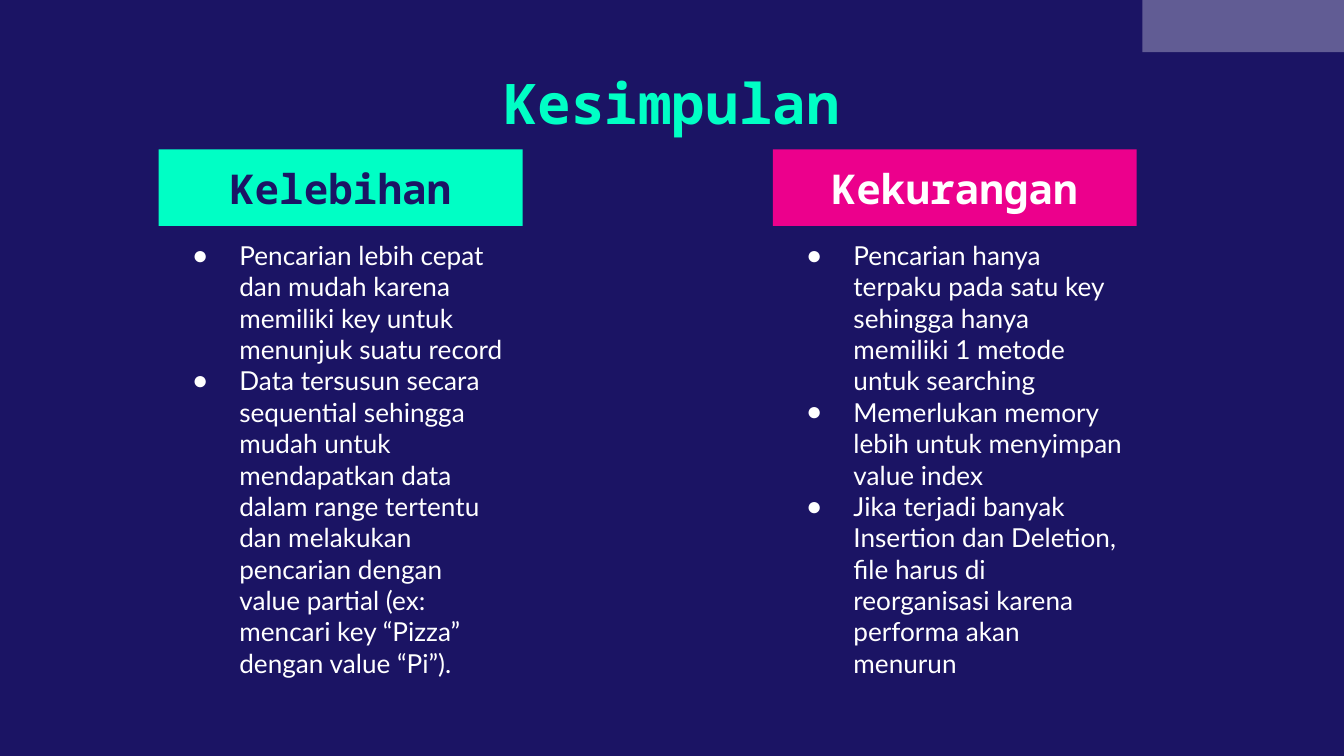
"""Build the conclusion slide comparing strengths and weaknesses."""
from dataclasses import dataclass

from lxml import etree
from pptx import Presentation
from pptx.dml.color import RGBColor
from pptx.enum.shapes import MSO_SHAPE
from pptx.enum.text import MSO_ANCHOR, MSO_AUTO_SIZE, PP_ALIGN
from pptx.oxml.ns import qn
from pptx.shapes.autoshape import Shape
from pptx.slide import Slide
from pptx.text.text import TextFrame
from pptx.util import Pt

NAVY = RGBColor(0x1B, 0x14, 0x64)
MINT = RGBColor(0x00, 0xFF, 0xC5)
PINK = RGBColor(0xEC, 0x00, 0x8C)
WHITE = RGBColor(0xFF, 0xFF, 0xFF)
RECT = MSO_SHAPE.RECTANGLE
BOTTOM, TOP = MSO_ANCHOR.BOTTOM, MSO_ANCHOR.TOP
CENTER, LEFT = PP_ALIGN.CENTER, PP_ALIGN.LEFT
NO_FIT = MSO_AUTO_SIZE.NONE

HEAD_FONT, BODY_FONT = "Noto Sans Mono", "Lato"
COMPARISON_LAYOUT = 4
SLIDE_W, SLIDE_H = 720, 405
COL_W, HEAD_TOP, HEAD_H = 195, 80, 41
BODY_TOP = HEAD_TOP + HEAD_H
INSET, INDENT, HANGING = 7.2, 36, 25.2


@dataclass
class Column:
    head_idx: int
    left: float
    heading: str
    fill: RGBColor
    color: RGBColor
    points: list[str]


COLUMNS = [
    Column(1, 85, "Kelebihan", MINT, NAVY, [
        "Pencarian lebih cepat dan mudah karena memiliki key untuk "
        "menunjuk suatu record",
        "Data tersusun secara sequential sehingga mudah untuk mendapatkan "
        "data dalam range tertentu dan melakukan pencarian dengan value "
        "partial (ex: mencari key “Pizza” dengan value “Pi”).",
    ]),
    Column(3, 414, "Kekurangan", PINK, WHITE, [
        "Pencarian hanya terpaku pada satu key sehingga hanya memiliki "
        "1 metode untuk searching",
        "Memerlukan memory lebih untuk menyimpan value index",
        "Jika terjadi banyak Insertion dan Deletion, file harus di "
        "reorganisasi karena performa akan menurun",
    ]),
]


def place(sp: Shape, left: float, top: float, width: float, height: float) -> None:
    sp.left, sp.top = Pt(left), Pt(top)
    sp.width, sp.height = Pt(width), Pt(height)


def write(sp: Shape, text: str, font: str, size: float, color: RGBColor,
          bold: bool, align: PP_ALIGN, anchor: MSO_ANCHOR) -> TextFrame:
    tf = sp.text_frame
    tf.text = text
    tf.word_wrap, tf.auto_size, tf.vertical_anchor = True, NO_FIT, anchor
    tf.margin_left = tf.margin_right = Pt(INSET)
    tf.margin_top = tf.margin_bottom = Pt(INSET)
    for p in tf.paragraphs:
        p.alignment = align
        p.space_before = Pt(0)
        for r in p.runs:
            r.font.name, r.font.size, r.font.bold = font, Pt(size), bold
            r.font.color.rgb = color
    return tf


def add_bullets(tf: TextFrame, color: RGBColor) -> None:
    for p in tf.paragraphs:
        pPr = p._p.get_or_add_pPr()
        pPr.set("marL", str(Pt(INDENT)))
        pPr.set("indent", str(-Pt(HANGING)))
        clr = etree.SubElement(pPr, qn("a:buClr"))
        etree.SubElement(clr, qn("a:srgbClr"), val=str(color))
        etree.SubElement(pPr, qn("a:buChar"), char="●")


def draw_tab(s: Slide) -> None:
    tab = s.shapes.add_shape(RECT, Pt(612), Pt(0), Pt(108), Pt(28))
    tab.shadow.inherit = False
    tab.line.fill.background()
    tab.fill.solid()
    tab.fill.fore_color.rgb = WHITE
    clr = tab._element.spPr.find(qn("a:solidFill")).find(qn("a:srgbClr"))
    etree.SubElement(clr, qn("a:alpha"), val="31000")


def draw_column(s: Slide, col: Column) -> None:
    holders = {sp.placeholder_format.idx: sp for sp in s.placeholders}
    head, body = holders[col.head_idx], holders[col.head_idx + 1]
    place(head, col.left, HEAD_TOP, COL_W, HEAD_H)
    head.fill.solid()
    head.fill.fore_color.rgb = col.fill
    write(head, col.heading, HEAD_FONT, 22, col.color, True, CENTER, BOTTOM)
    place(body, col.left, BODY_TOP, COL_W, SLIDE_H - BODY_TOP)
    tf = write(body, "\n".join(col.points), BODY_FONT, 14, WHITE, False, LEFT, TOP)
    add_bullets(tf, WHITE)


def main() -> None:
    prs = Presentation()
    prs.slide_width, prs.slide_height = Pt(SLIDE_W), Pt(SLIDE_H)
    s = prs.slides.add_slide(prs.slide_layouts[COMPARISON_LAYOUT])
    s.background.fill.solid()
    s.background.fill.fore_color.rgb = NAVY
    draw_tab(s)
    for col in COLUMNS:
        draw_column(s, col)
    title = s.shapes.title
    place(title, 101, 27, 518, 53)
    write(title, "Kesimpulan", HEAD_FONT, 30, MINT, True, CENTER, BOTTOM)
    prs.save("out.pptx")


if __name__ == "__main__":
    main()
